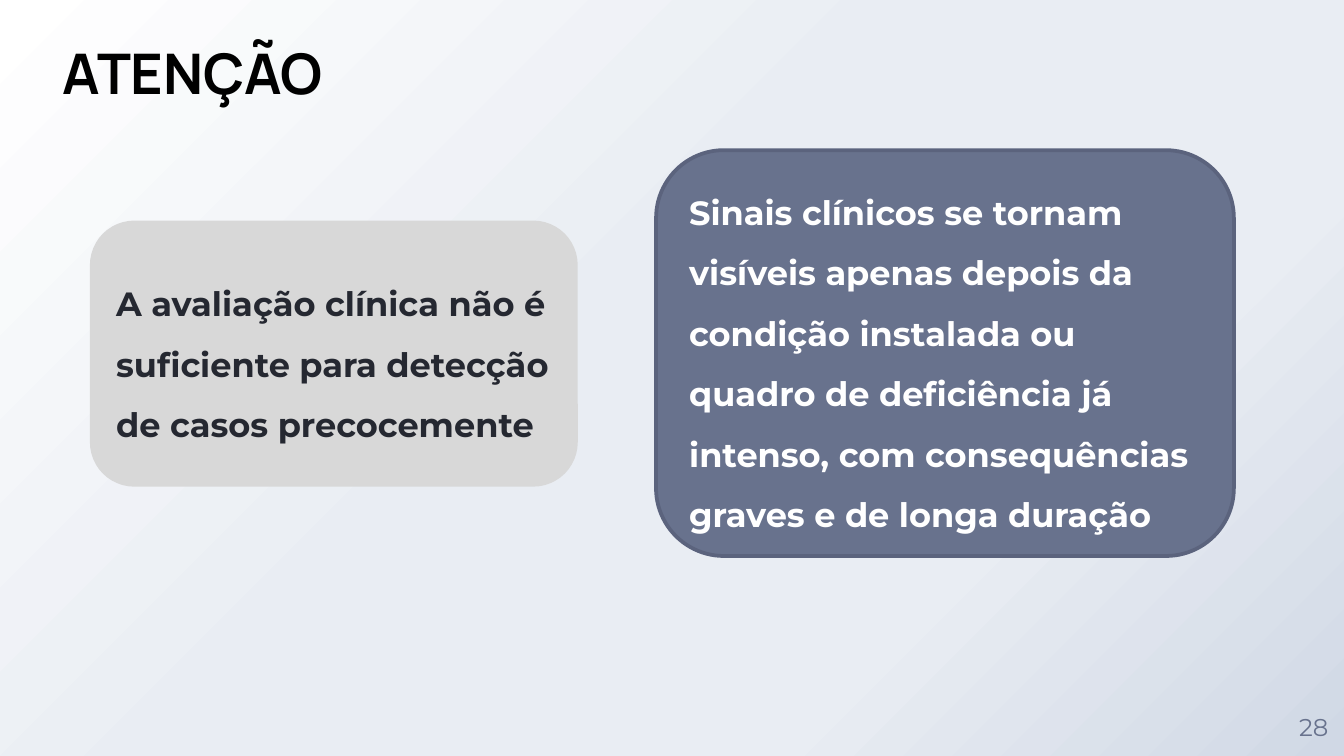
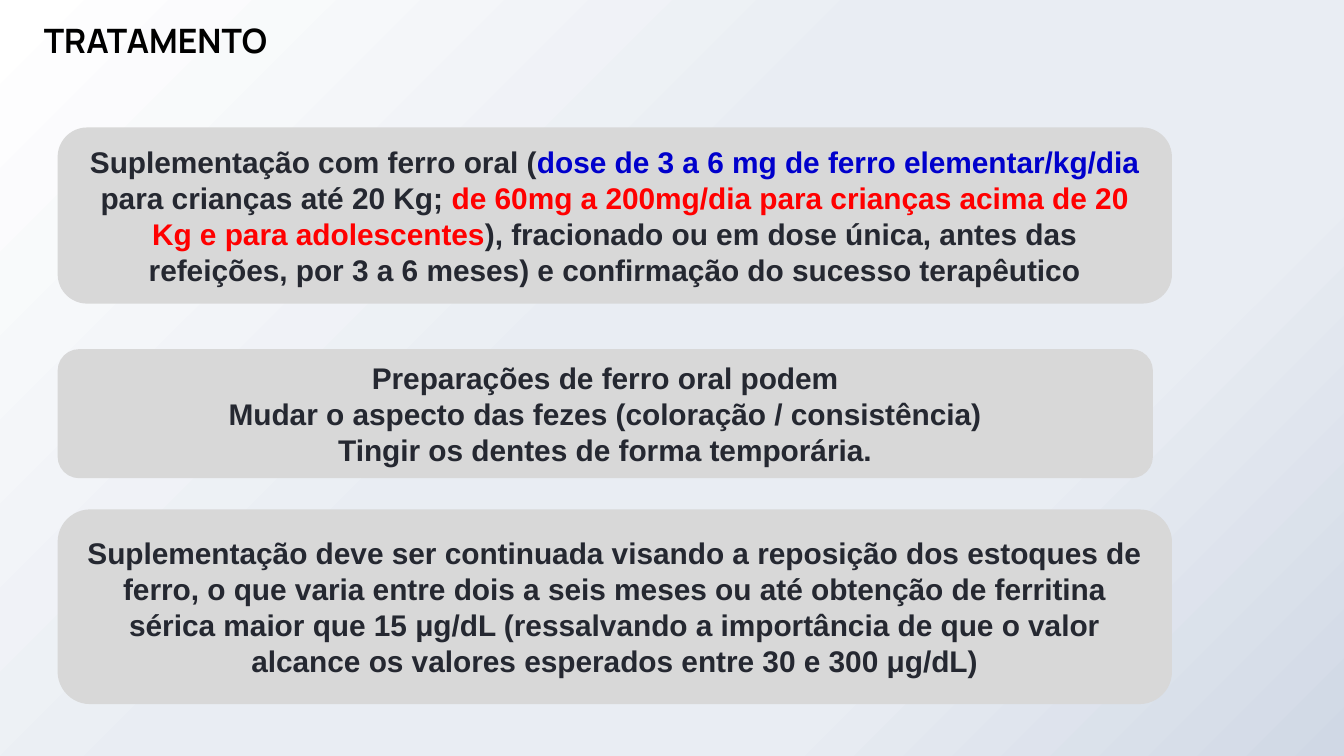
import lxml.etree
import pptx
import pptx.dml.color
import pptx.enum.shapes
import pptx.enum.text
import pptx.oxml
import pptx.oxml.ns
import pptx.util

Cm = pptx.util.Cm
Pt = pptx.util.Pt
RGBColor = pptx.dml.color.RGBColor
ALIGN = pptx.enum.text.PP_ALIGN
ANCHOR = pptx.enum.text.MSO_ANCHOR

BLACK = RGBColor(0x00, 0x00, 0x00)
WHITE = RGBColor(0xFF, 0xFF, 0xFF)
INK = RGBColor(0x25, 0x28, 0x31)
SLATE = RGBColor(0x68, 0x72, 0x8D)
SLATE_EDGE = RGBColor(0x5B, 0x63, 0x7D)
GREY = RGBColor(0xD8, 0xD8, 0xD8)
BLUE = RGBColor(0x00, 0x00, 0xCC)
RED = RGBColor(0xFF, 0x00, 0x00)
PALE = RGBColor(0xE9, 0xED, 0xF3)
MIST = RGBColor(0xD0, 0xD8, 0xE5)

BACKGROUND_STOPS = [(0, WHITE), (44, PALE), (72, PALE), (100, MIST)]
TITLE_FONT = "Manrope"
MAIN_FONT = "Montserrat"
PLAIN_FONT = "Arial"
CORNER = 0.167


def paint_background(master):
    """Give every slide a gradient that spreads from the top left corner."""
    master.background.fill.gradient()
    gradient = master.element.find(".//" + pptx.oxml.ns.qn("p:bgPr")).find(pptx.oxml.ns.qn("a:gradFill"))
    for child in list(gradient):
        gradient.remove(child)
    stop_list = lxml.etree.SubElement(gradient, pptx.oxml.ns.qn("a:gsLst"))
    for percent, color in BACKGROUND_STOPS:
        stop = lxml.etree.SubElement(stop_list, pptx.oxml.ns.qn("a:gs"), pos=str(percent * 1000))
        lxml.etree.SubElement(stop, pptx.oxml.ns.qn("a:srgbClr"), val=str(color))
    spread = lxml.etree.SubElement(gradient, pptx.oxml.ns.qn("a:path"), path="circle")
    lxml.etree.SubElement(spread, pptx.oxml.ns.qn("a:fillToRect"), r="100000", b="100000")


def write_text(shape, paragraphs, font_name, size, color, bold=True, align=ALIGN.LEFT, spacing=None):
    """Fill a shape with paragraphs, each a string or a list of (text, colour) runs."""
    frame = shape.text_frame
    frame.word_wrap = True
    for index, content in enumerate(paragraphs):
        paragraph = frame.add_paragraph() if index else frame.paragraphs[0]
        paragraph.alignment = align
        if spacing:
            paragraph.line_spacing = spacing
        runs = [(content, color)] if isinstance(content, str) else content
        for text, run_color in runs:
            run = paragraph.add_run()
            run.text = text
            run.font.name = font_name
            run.font.size = Pt(size)
            run.font.bold = bold
            run.font.color.rgb = run_color


def add_title(slide, box, text, size):
    """Write the slide title in the given box."""
    title = slide.shapes.add_textbox(*map(Cm, box))
    write_text(title, [text], TITLE_FONT, size, BLACK)


def add_slide_number(slide, box, number):
    """Write the slide number in the centre of the given box."""
    label = slide.shapes.add_textbox(*map(Cm, box))
    frame = label.text_frame
    frame.margin_left = frame.margin_right = frame.margin_top = frame.margin_bottom = 0
    frame.vertical_anchor = ANCHOR.MIDDLE
    write_text(label, [number], MAIN_FONT, 13, SLATE, bold=False, align=ALIGN.CENTER)


def add_card(slide, box, paragraphs, fill=GREY, edge=None, **text_style):
    """Draw a rounded card with its text in the given box."""
    card = slide.shapes.add_shape(pptx.enum.shapes.MSO_SHAPE.ROUNDED_RECTANGLE, *map(Cm, box))
    card.adjustments[0] = CORNER
    card.shadow.inherit = False
    card.fill.solid()
    card.fill.fore_color.rgb = fill
    if edge is None:
        card.line.fill.background()
    else:
        card.line.color.rgb = edge
        card.line.width = Pt(2)
    card.text_frame.vertical_anchor = ANCHOR.MIDDLE
    write_text(card, paragraphs, **text_style)


def build_warning(slide):
    """Build the slide that compares clinical assessment and late signs."""
    add_slide_number(slide, (24.26, 13.16, 1.14, 1.14), "28")
    add_title(slide, (0.94, 0.61, 15.4, 1.52), "ATENÇÃO", 30)
    style = {"font_name": MAIN_FONT, "size": 18, "spacing": 1.5}
    add_card(
        slide, (12.4, 2.84, 10.92, 7.67),
        ["Sinais clínicos se tornam visíveis apenas depois da condição instalada ou quadro de "
         "deficiência já intenso, com consequências graves e de longa duração"],
        fill=SLATE, edge=SLATE_EDGE, color=WHITE, **style)
    add_card(
        slide, (1.7, 4.17, 9.22, 5.03),
        ["A avaliação clínica não é suficiente para detecção de casos precocemente"],
        color=INK, **style)


def build_treatment(slide):
    """Build the slide with the three treatment cards."""
    add_title(slide, (0.58, 0.25, 15.4, 1.63), "TRATAMENTO", 18)
    dose = [
        ("Suplementação com ferro oral (", INK),
        ("dose de 3 a 6 mg de ferro elementar/kg/dia ", BLUE),
        ("para crianças até 20 Kg; ", INK),
        ("de 60mg a 200mg/dia para crianças acima de 20 Kg e para adolescentes", RED),
        ("), fracionado ou em dose única, antes das refeições, por 3 a 6 meses) "
         "e confirmação do sucesso terapêutico", INK),
    ]
    effects = [
        "Preparações de ferro oral podem",
        "Mudar o aspecto das fezes (coloração / consistência)",
        "Tingir os dentes de forma temporária.",
    ]
    duration = (
        "Suplementação deve ser continuada visando a reposição dos estoques de ferro, o que varia "
        "entre dois a seis meses ou até obtenção de ferritina sérica maior que 15 μg/dL (ressalvando "
        "a importância de que o valor alcance os valores esperados entre 30 e 300 μg/dL)")
    cards = [
        (2.41, 21.06, 3.33, [dose]),
        (6.6, 20.7, 2.44, effects),
        (9.63, 21.06, 3.68, [duration]),
    ]
    for top, width, height, paragraphs in cards:
        add_card(slide, (1.09, top, width, height), paragraphs,
                 font_name=PLAIN_FONT, size=16, color=INK, align=ALIGN.CENTER)


def main():
    """Build both slides and save the presentation."""
    presentation = pptx.Presentation()
    presentation.slide_width = Cm(25.4)
    presentation.slide_height = Cm(14.29)
    paint_background(presentation.slide_master)
    for build in (build_warning, build_treatment):
        build(presentation.slides.add_slide(presentation.slide_layouts[6]))
    presentation.save("out.pptx")


if __name__ == "__main__":
    main()
